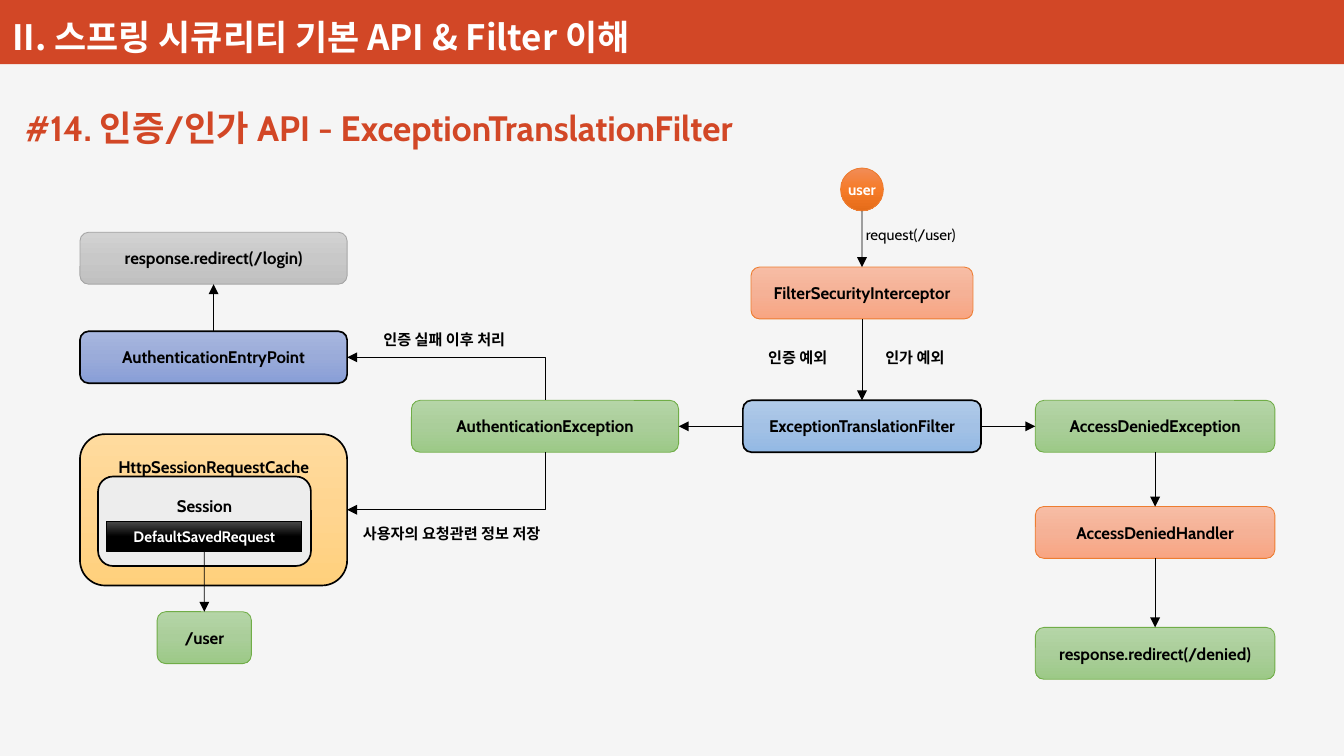
from copy import deepcopy
from dataclasses import dataclass

from lxml.etree import SubElement
from pptx import Presentation
from pptx.dml.color import RGBColor as RGB
from pptx.enum.shapes import MSO_CONNECTOR as CXN, MSO_SHAPE as SHAPE
from pptx.enum.text import MSO_ANCHOR as ANCHOR, MSO_AUTO_SIZE as FIT, PP_ALIGN as ALIGN
from pptx.oxml.ns import qn
from pptx.util import Cm, Pt

TOP, LEFT, BOTTOM, RIGHT = range(4)


@dataclass(frozen=True)
class Theme:
    latin: str = "Cabin"
    korean: str = "Noto Sans CJK KR"
    black: str = "000000"
    white: str = "FFFFFF"
    paper: str = "F5F5F5"
    accent: str = "D24726"
    header: float = 20.8
    title: float = 21
    body: float = 10
    small: float = 9
    thin: float = 0.5
    thick: float = 1
    # Box styles: fill colours from top to bottom, then the line colour
    blue: tuple = (("B1CBE9", "A3C1E5", "93B9E4"), "000000")
    indigo: tuple = (("A8B7DF", "9AABD9", "889ED7"), "000000")
    yellow: tuple = (("FFDB9E", "FFD590", "FFD07C"), "000000")
    pale: tuple = (("EDEDED",), "000000")
    dark: tuple = (("4B4B4B", "000000", "000000"), "000000")
    grey: tuple = (("D2D2D2", "C8C8C8", "C0C0C0"), "A5A5A5")
    green: tuple = (("B5D5A7", "AACE9A", "9CC987"), "70AD47")
    salmon: tuple = (("F7BDA5", "F5B196", "F8A582"), "ED7D31")
    orange: tuple = (("F18C57", "F67B28", "E56C19"), "ED7D31")


class Diagram:
    def __init__(self, slide, theme):
        self.s, self.t = slide, theme

    def put_text(self, sp, text, size, color, font=None, bold=True, align=ALIGN.CENTER, **frame):
        tf = sp.text_frame
        for name, value in frame.items():
            setattr(tf, name, value)
        p = tf.paragraphs[0]
        p.alignment = align
        r = p.add_run()
        r.text = text
        style = {"name": font or self.t.latin, "size": Pt(size), "bold": bold}
        for name, value in style.items():
            setattr(r.font, name, value)
        r.font.color.rgb = RGB.from_string(color)
        SubElement(r.font._element, qn("a:ea"), typeface=self.t.korean)

    def paint(self, sp, colors):
        if len(colors) == 1:
            sp.fill.solid()
            sp.fill.fore_color.rgb = RGB.from_string(colors[0])
            return
        sp.fill.gradient()
        sp.fill.gradient_angle = 270
        first = sp._element.spPr.find(".//" + qn("a:gs"))
        first.addnext(deepcopy(first))
        for i, (stop, color) in enumerate(zip(sp.fill.gradient_stops, colors)):
            stop.position = i / 2
            stop.color.rgb = RGB.from_string(color)

    def box(self, text, x, y, w, h, style, width=None, kind=SHAPE.ROUNDED_RECTANGLE,
            size=None, color=None, **frame):
        sp = self.s.shapes.add_shape(kind, Cm(x), Cm(y), Cm(w), Cm(h))
        sp.shadow.inherit = False
        colors, line = style
        self.paint(sp, colors)
        sp.line.color.rgb = RGB.from_string(line)
        sp.line.width = Pt(width or self.t.thin)
        if text:
            frame = {"vertical_anchor": ANCHOR.MIDDLE, **frame}
            self.put_text(sp, text, size or self.t.body, color or self.t.black, **frame)
        return sp

    def label(self, text, x, y, w, h=0.64, size=None, color=None, font=None, bold=True, **frame):
        sp = self.s.shapes.add_textbox(Cm(x), Cm(y), Cm(w), Cm(h))
        frame = {"word_wrap": False, "auto_size": FIT.SHAPE_TO_FIT_TEXT, **frame}
        self.put_text(sp, text, size or self.t.small, color or self.t.black, font, bold,
                      ALIGN.LEFT, **frame)

    def middle(self, sp, side):
        """Middle point of one side of a shape."""
        x = {LEFT: sp.left, RIGHT: sp.left + sp.width}.get(side, sp.left + sp.width // 2)
        y = {TOP: sp.top, BOTTOM: sp.top + sp.height}.get(side, sp.top + sp.height // 2)
        return x, y

    def connector(self, kind, a, a_side, b, b_side, end):
        c = self.s.shapes.add_connector(kind, *self.middle(a, a_side), *self.middle(b, b_side))
        if a.auto_shape_type != SHAPE.OVAL:
            c.begin_connect(a, a_side)
        c.end_connect(b, b_side)
        c.line.color.rgb = RGB.from_string(self.t.black)
        c.line.width = Pt(self.t.thin)
        pr = c._element.spPr
        SubElement(pr.find(qn("a:ln")), qn(end), type="triangle")
        SubElement(pr, qn("a:effectLst"))
        return c

    def arrow(self, a, a_side, b, b_side):
        self.connector(CXN.STRAIGHT, a, a_side, b, b_side, "a:tailEnd")

    def bent_arrow(self, target, source, source_side):
        """One-corner line leaving the target's right side, with its head at the target."""
        c = self.connector(CXN.ELBOW, target, RIGHT, source, source_side, "a:headEnd")
        c._element.spPr.find(qn("a:prstGeom")).set("prst", "bentConnector2")


def main():
    t = Theme()
    prs = Presentation()
    prs.slide_width, prs.slide_height = Cm(28.22), Cm(15.88)
    s = prs.slides.add_slide(prs.slide_layouts[6])
    s.background.fill.solid()
    s.background.fill.fore_color.rgb = RGB.from_string(t.paper)
    d = Diagram(s, t)

    # Header band and title
    d.box("", 0, 0, 28.22, 1.35, ((t.accent,), t.accent), kind=SHAPE.RECTANGLE).line.fill.background()
    d.label("II. 스프링 시큐리티 기본 API & Filter 이해", 0.03, -0.25, 15.67, 1.55, t.header,
            t.white, t.korean, word_wrap=True, auto_size=FIT.NONE,
            vertical_anchor=ANCHOR.BOTTOM, margin_top=Cm(0.1), margin_bottom=Cm(0.1),
            margin_left=Cm(0.23), margin_right=Cm(0.23))
    d.label("#14. 인증/인가 API - ExceptionTranslationFilter", 0.28, 2.11, 16.84, 1.14,
            t.title, t.accent)

    # Columns (left, width) and shared row
    h, row = 1.09, 8.41
    left_x, left_w = 1.68, 5.61
    right_x, right_w = 21.74, 5.03

    # Request and filters
    user = d.box("user", 17.65, 3.53, 0.9, 0.9, t.orange, kind=SHAPE.OVAL, size=t.small,
                 color=t.white, word_wrap=False, margin_left=0, margin_right=0)
    interceptor = d.box("FilterSecurityInterceptor", 15.77, 5.61, 4.66, h, t.salmon)
    translation = d.box("ExceptionTranslationFilter", 15.6, row, 5, h, t.blue, t.thick)

    # Authentication branch
    auth = d.box("AuthenticationException", 8.64, row, left_w, h, t.green)
    login = d.box("response.redirect(/login)", left_x, 4.88, left_w, h, t.grey)
    entry = d.box("AuthenticationEntryPoint", left_x, 6.96, left_w, h, t.indigo, t.thick)

    # Request cache with its session
    heading = {"vertical_anchor": ANCHOR.TOP, "margin_top": Cm(0.31)}
    cache = d.box("HttpSessionRequestCache", left_x, 9.12, left_w, 3.18, t.yellow, t.thick, **heading)
    d.box("Session", 2.06, 10.01, 4.47, 1.88, t.pale, t.thick, **heading)
    saved = d.box("DefaultSavedRequest", 2.24, 10.95, 4.1, 0.64, t.dark, kind=SHAPE.RECTANGLE,
                  size=t.small, color=t.white)
    saved_url = d.box("/user", 3.3, 12.85, 1.98, h, t.green)

    # Access denied branch
    denied, handler, redirect = [
        d.box(text, right_x, y, right_w, h, style) for text, y, style in (
            ("AccessDeniedException", row, t.green),
            ("AccessDeniedHandler", 10.64, t.salmon),
            ("response.redirect(/denied)", 13.18, t.green))]

    # Arrows
    for a, b in ((user, interceptor), (interceptor, translation), (denied, handler),
                 (handler, redirect), (saved, saved_url)):
        d.arrow(a, BOTTOM, b, TOP)
    d.arrow(entry, TOP, login, BOTTOM)
    d.arrow(translation, RIGHT, denied, LEFT)
    d.arrow(translation, LEFT, auth, RIGHT)
    d.bent_arrow(entry, auth, TOP)
    d.bent_arrow(cache, auth, BOTTOM)

    # Arrow labels
    d.label("request(/user)", 17.93, 4.6, 2.49, bold=False)
    for text, x, y, w in (("인증 예외", 15.88, 7.19, 1.88),
                          ("인가 예외", 18.34, 7.19, 1.88),
                          ("인증 실패 이후 처리", 7.8, 6.81, 3.35),
                          ("사용자의 요청관련 정보 저장", 7.37, 10.9, 4.62)):
        d.label(text, x, y, w)

    prs.save("out.pptx")


if __name__ == "__main__":
    main()
